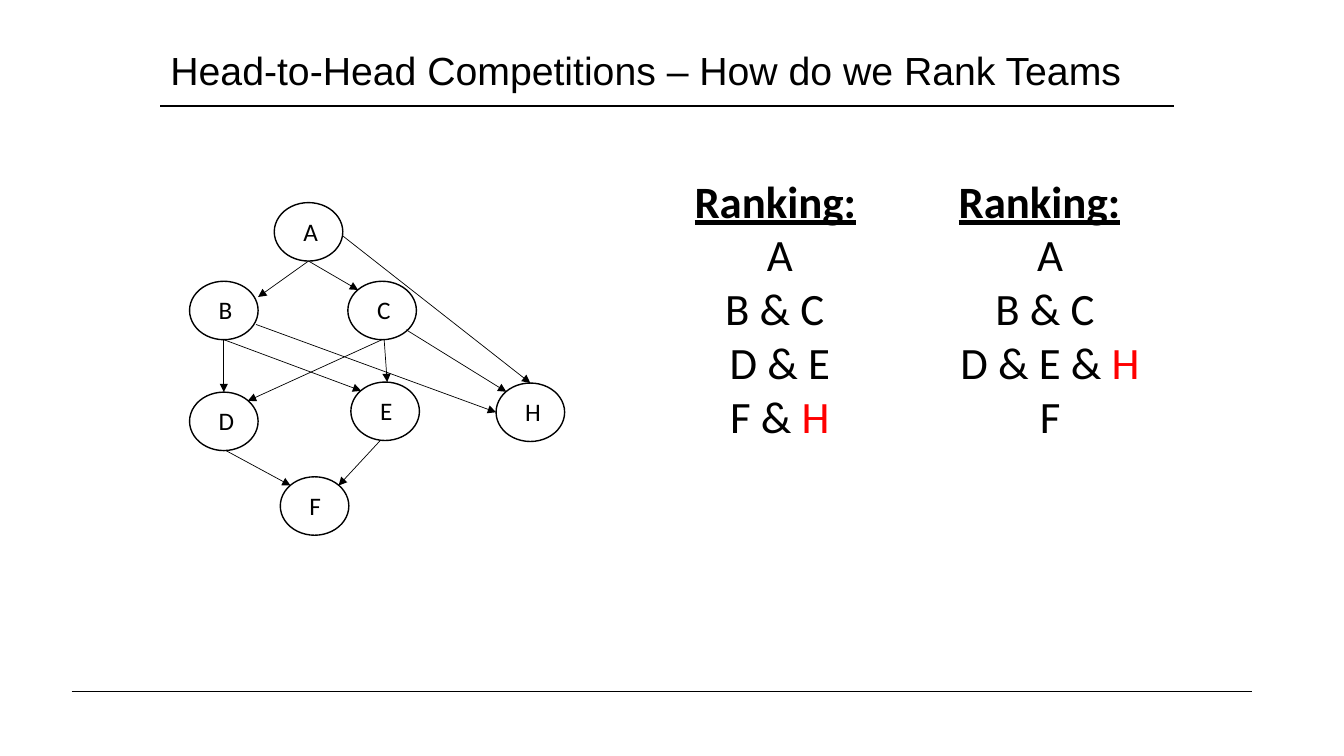
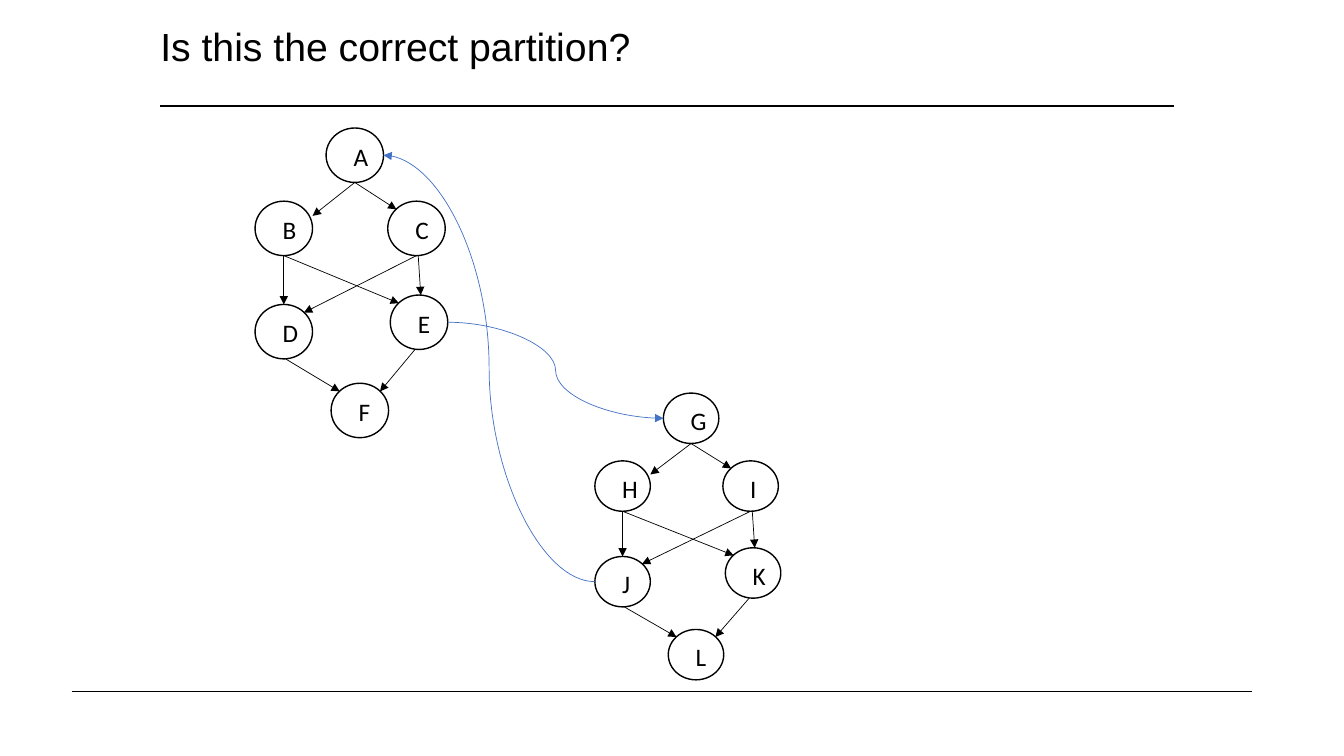
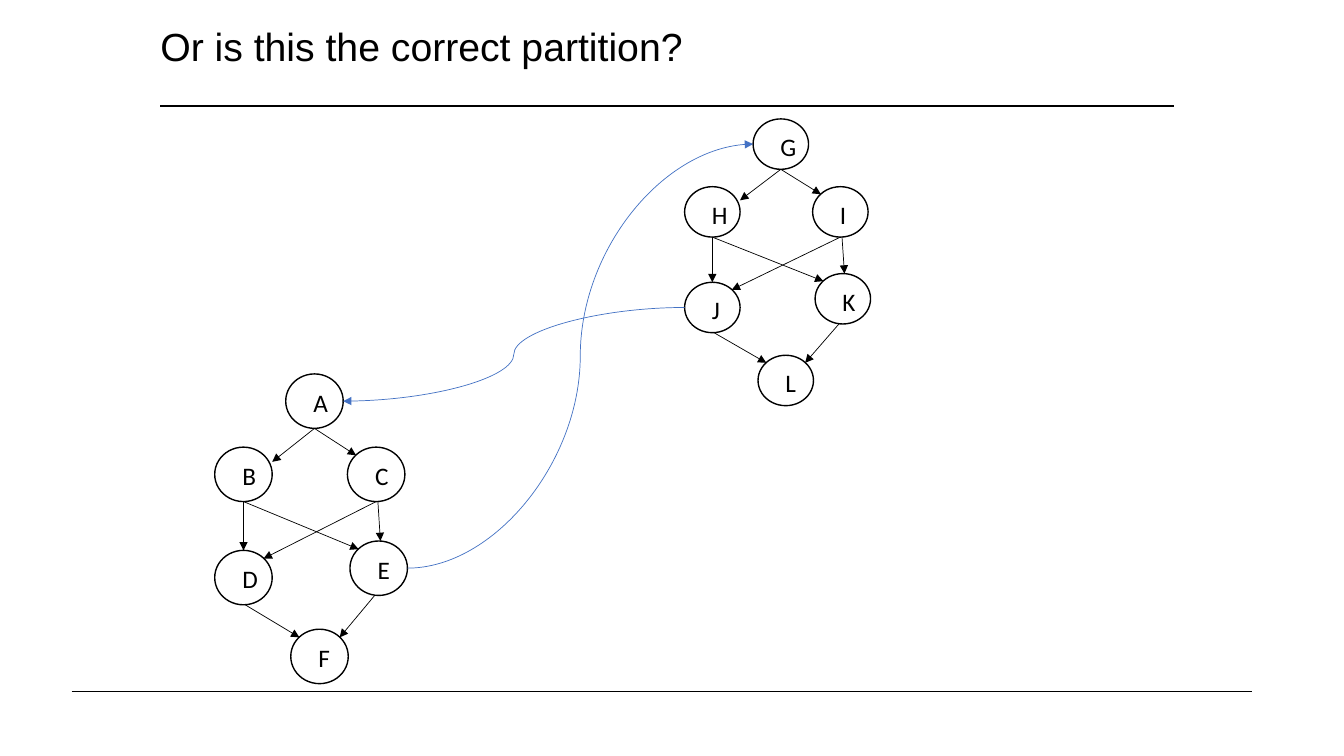
from lxml import etree
from pptx import Presentation
from pptx import util as u
from pptx.dml.color import RGBColor
from pptx.enum import shapes, text
from pptx.oxml import ns

PX = 9144  # EMU per px, 100 px to the inch
COLORS = {"ink": "000000", "accent": "FF0000", "link": "4472C4"}

# Anchor points on a node, as shares of its width and height
BOTTOM, TOP, LEFT, RIGHT = (0.5, 1), (0.5, 0), (0, 0.5), (1, 0.5)
TOP_LEFT, TOP_RIGHT, UPPER_RIGHT = (0.15, 0.15), (0.85, 0.15), (1, 0.27)

# One diamond layout serves every graph; its nodes are 68 x 58 px
NODE_SIZE = (68, 58)
NODE_OFFSETS = [(84, 0), (0, 78), (157, 78), (0, 188), (160, 178), (90, 272), (304, 179)]
BASE = "ABCDEF"
EDGES = [
    ("A", BOTTOM, "B", UPPER_RIGHT),
    ("A", BOTTOM, "C", TOP_LEFT),
    ("B", BOTTOM, "D", TOP),
    ("B", BOTTOM, "E", TOP_LEFT),
    ("C", BOTTOM, "D", TOP_RIGHT),
    ("C", (0.53, 1), "E", (0.53, 0)),
    ("D", (0.53, 1), "F", TOP_LEFT),
    ("E", (0.43, 1), "F", TOP_RIGHT),
]
CROSS_LINKS = [("E", RIGHT, "G", LEFT), ("J", LEFT, "A", RIGHT)]

SLIDES = [
    {
        "title": "Head-to-Head Competitions – How do we Rank Teams",
        "title_at": (159, 39),
        "graphs": [("ABCDEFH", (188, 201), NODE_SIZE)],
        "arrows": [
            ("B", (0.97, 0.74), "H", LEFT),
            ("A", (1, 0.57), "H", TOP),
            ("C", (0.85, 0.83), "H", TOP_LEFT),
        ],
        "rankings": [
            ((679, 167, 189, 310), ["A", "B & C ", "D & E", "F & *H"]),
            ((941, 167, 201, 279), ["A", "B & C ", "D & E & *H", "F"]),
        ],
    },
    {
        "title": "Is this the correct partition?",
        "title_at": (149, 15),
        "graphs": [("GHIJKL", (590, 390), (55, 50)), ("ABCDEF", (253, 127), (57, 54))],
        "curves": CROSS_LINKS,
    },
    {
        "title": "Or is this the correct partition?",
        "title_at": (149, 15),
        "graphs": [("GHIJKL", (679, 118), (55, 50)), ("ABCDEF", (213, 371), (57, 54))],
        "curves": CROSS_LINKS,
    },
]


def px(*lengths):
    return [round(n * PX) for n in lengths]


def rgb(name):
    return RGBColor.from_string(COLORS[name])


def style_run(r, size, font="Calibri", color="ink"):
    r.font.size, r.font.name = u.Pt(size), font
    r.font.color.rgb = rgb(color)


def add_line(s, start, end, width=0.5, color="ink", arrow=False, curved=False):
    kind = shapes.MSO_CONNECTOR.CURVE if curved else shapes.MSO_CONNECTOR.STRAIGHT
    line = s.shapes.add_connector(kind, *px(*start, *end))
    line.line.width = u.Pt(width)
    line.line.color.rgb = rgb(color)
    if arrow:
        etree.SubElement(line.line._get_or_add_ln(), ns.qn("a:tailEnd"), type="triangle")
    etree.SubElement(line.element.spPr, ns.qn("a:effectLst"))


def add_base_slide(prs, title, title_at):
    """Title-only slide with the rule under the title and the footer rule."""
    s = prs.slides.add_slide(prs.slide_layouts[5])
    sp = s.shapes.title
    sp.left, sp.top, sp.width, sp.height = px(*title_at, 1005, 66)
    tf = sp.text_frame
    tf.text = title
    tf.auto_size = text.MSO_AUTO_SIZE.NONE
    tf.vertical_anchor = text.MSO_ANCHOR.MIDDLE
    p = tf.paragraphs[0]
    p.alignment, p.line_spacing = text.PP_ALIGN.LEFT, 0.9
    style_run(p.runs[0], 28, "Arial")
    add_line(s, (71, 686), (1242, 686))
    add_line(s, (159, 105), (1164, 105), width=1)
    return s


def add_node(s, letter, box):
    sp = s.shapes.add_shape(shapes.MSO_SHAPE.OVAL, *px(*box))
    sp.shadow.inherit = False
    sp.fill.background()
    sp.line.color.rgb, sp.line.width = rgb("ink"), u.Pt(1)
    tf = sp.text_frame
    tf.text = letter
    tf.word_wrap = True
    tf.vertical_anchor = text.MSO_ANCHOR.TOP
    tf.margin_left, tf.margin_top, tf.margin_right, tf.margin_bottom = px(19, 5, 0, 0)
    p = tf.paragraphs[0]
    p.alignment = text.PP_ALIGN.LEFT
    style_run(p.runs[0], 18)


def link_nodes(s, nodes, links, **look):
    def point(letter, anchor):
        x, y, w, h = nodes[letter]
        return x + anchor[0] * w, y + anchor[1] * h

    for source, leave, target, enter in links:
        add_line(s, point(source, leave), point(target, enter), arrow=True, **look)


def add_graph(s, letters, origin, size):
    """Scale the shared layout to the node size; return each node's box."""
    scale_x, scale_y = size[0] / NODE_SIZE[0], size[1] / NODE_SIZE[1]
    nodes = {
        letter: (origin[0] + dx * scale_x, origin[1] + dy * scale_y, *size)
        for letter, (dx, dy) in zip(letters, NODE_OFFSETS)
    }
    for letter, box in nodes.items():
        add_node(s, letter, box)
    names = dict(zip(BASE, letters))
    link_nodes(s, nodes, [(names[a], leave, names[b], enter) for a, leave, b, enter in EDGES])
    return nodes


def add_ranking(s, box, rows):
    """Heading and centred rows; text after * takes the accent colour."""
    tf = s.shapes.add_textbox(*px(*box)).text_frame
    tf.word_wrap = True
    tf.text = "Ranking:"
    r = tf.paragraphs[0].runs[0]
    style_run(r, 32)
    r.font.bold = r.font.underline = True
    for row in rows:
        p = tf.add_paragraph()
        p.alignment = text.PP_ALIGN.CENTER
        for part, color in zip(row.split("*"), ("ink", "accent")):
            r = p.add_run()
            r.text = part
            style_run(r, 32, color=color)


def main():
    prs = Presentation()
    prs.slide_width, prs.slide_height = u.Inches(13.33), u.Inches(7.5)
    for spec_row in SLIDES:
        s = add_base_slide(prs, spec_row["title"], spec_row["title_at"])
        for box, rows in spec_row.get("rankings", []):
            add_ranking(s, box, rows)
        nodes = {}
        for graph in spec_row["graphs"]:
            nodes.update(add_graph(s, *graph))
        link_nodes(s, nodes, spec_row.get("arrows", []))
        link_nodes(s, nodes, spec_row.get("curves", []), color="link", curved=True)
    prs.save("out.pptx")


if __name__ == "__main__":
    main()
